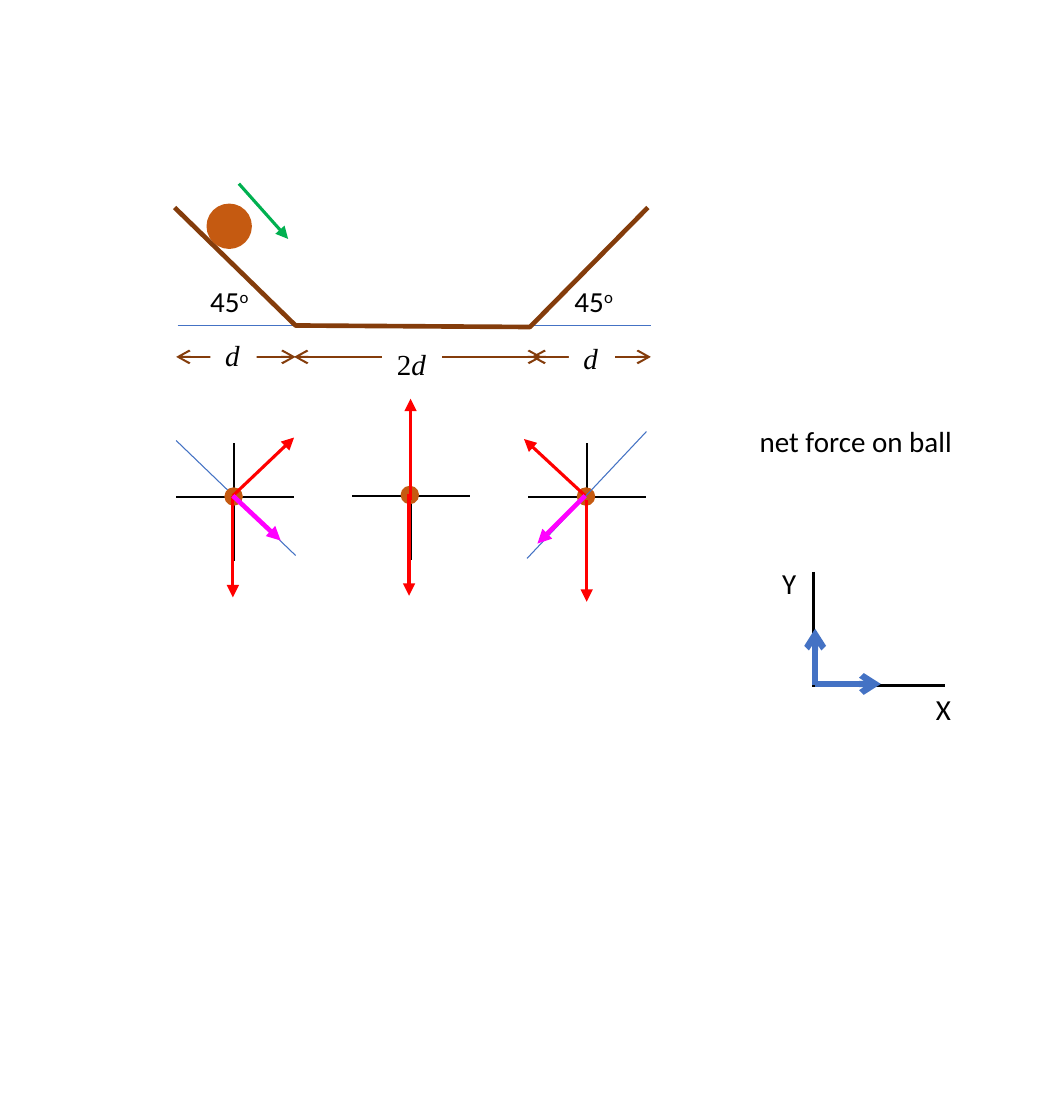
from lxml.etree import SubElement
from pptx import Presentation
from pptx.dml.color import RGBColor
from pptx.enum.shapes import MSO_CONNECTOR as Connector, MSO_SHAPE as Shape
from pptx.enum.text import MSO_AUTO_SIZE as AutoSize
from pptx.oxml.ns import qn
from pptx.util import Emu, Inches, Pt

PX = 9144
SLIDE_WIDTH, SLIDE_HEIGHT = Emu(6480175), Inches(7.5)
BLACK, WHITE, BLUE, RED = "000000", "FFFFFF", "4472C4", "FF0000"
MAGENTA, GREEN, BROWN, ORANGE = "FF00FF", "00B050", "843C0B", "C55A11"
SANS, SERIF = "Calibri", "Times New Roman"

GUIDES = [((118, 295), (198, 372)), ((119, 218), (436, 218))]
RIGHT_GUIDE = (433, 289), (353, 374)
TRACK = [(117, 139), (198, 218), (355, 219), (434, 139)]
BALL = 139, 137, 29
MOTION = (160, 123), (193, 160)
DIMENSION_Y = 239
DIMENSIONS = [(118, 198), (356, 436), (197, 363)]
BALL_CENTERS = [(393, 333), (157, 333), (275, 332)]
FORCES = [
    ((156, 332), (197, 293)), ((392, 332), (351, 294)),
    ((274, 331), (274, 399)), ((156, 332), (156, 400)),
    ((393, 335), (393, 403)), ((275, 335), (275, 267)),
]
NET_FORCES = [((156, 332), (188, 362)), ((392, 332), (360, 364))]
AXES = [((545, 383), (545, 460)), ((545, 459), (633, 459))]
UNIT_VECTORS = [((546, 458), (590, 458)), ((546, 459), (546, 421))]

TEXT_HEIGHT = 34
ANGLE = [("45", None), ("o", "superscript")]
DISTANCE = [("d", "italic")]
ANGLE_LABELS = [(131, 185, 47, ANGLE), (375, 185, 47, ANGLE)]
DISTANCE_LABELS = [
    (256, 227, 40, [("2", None), ("d", "italic")]),
    (381, 223, 31, DISTANCE),
    (141, 221, 31, DISTANCE),
]
CAPTIONS = [
    (499, 279, 150, [("net force on ball", None)]),
    (514, 374, 30, [("Y", None)]),
    (617, 458, 30, [("X", None)]),
]


def color(value):
    return RGBColor.from_string(value)


def add_line(shapes, ends, line_color, width, tail=None, head=None):
    start, end = ends
    connector = shapes.add_connector(
        Connector.STRAIGHT, *(value * PX for value in start + end))
    connector.line.color.rgb = color(line_color)
    connector.line.width = Pt(width)
    properties = connector._element.spPr
    outline = properties.find(qn("a:ln"))
    for tag, kind in (("a:headEnd", head), ("a:tailEnd", tail)):
        if kind:
            SubElement(outline, qn(tag), type=kind)
    SubElement(properties, qn("a:effectLst"))


def add_ball(shapes, left, top, size):
    ball = shapes.add_shape(Shape.OVAL, left * PX, top * PX, size * PX, size * PX)
    ball.shadow.inherit = False
    ball.fill.solid()
    ball.fill.fore_color.rgb = color(ORANGE)
    ball.line.color.rgb = color(ORANGE)
    ball.line.width = Pt(1)


def add_track(shapes):
    builder = shapes.build_freeform(*TRACK[0], scale=PX)
    builder.add_line_segments(TRACK[1:], close=False)
    track = builder.convert_to_shape()
    track.shadow.inherit = False
    track.fill.background()
    track.line.color.rgb = color(BROWN)
    track.line.width = Pt(2.25)


def add_label(shapes, left, top, width, runs, font_name=SANS, fill=None):
    box = shapes.add_textbox(left * PX, top * PX, width * PX, TEXT_HEIGHT * PX)
    if fill:
        box.fill.solid()
        box.fill.fore_color.rgb = color(fill)
    box.text_frame.word_wrap = False
    box.text_frame.auto_size = AutoSize.SHAPE_TO_FIT_TEXT
    paragraph = box.text_frame.paragraphs[0]
    paragraph.font.name = font_name
    paragraph.font.size = Pt(14)
    paragraph.font.color.rgb = color(BLACK)
    for text, style in runs:
        run = paragraph.add_run()
        run.text = text
        if style == "italic":
            run.font.italic = True
        elif style == "superscript":
            run._r.get_or_add_rPr().set("baseline", "30000")


def add_force_center(slide, x, y):
    shapes = slide.shapes.add_group_shape().shapes
    add_line(shapes, ((x - 39, y), (x + 40, y)), BLACK, 1)
    add_line(shapes, ((x, y - 36), (x, y + 43)), BLACK, 1)
    add_ball(shapes, x - 6, y - 6, 11)


def main():
    """Draw a ball on a ramp track with its force diagrams and axes."""
    presentation = Presentation()
    presentation.slide_width = SLIDE_WIDTH
    presentation.slide_height = SLIDE_HEIGHT
    slide = presentation.slides.add_slide(presentation.slide_layouts[6])
    shapes = slide.shapes

    for ends in GUIDES:
        add_line(shapes, ends, BLUE, 0.5)
    add_track(shapes)
    add_ball(shapes, *BALL)
    for label in ANGLE_LABELS:
        add_label(shapes, *label)
    add_line(shapes, MOTION, GREEN, 1.5, "triangle")
    for left, right in DIMENSIONS:
        ends = (left, DIMENSION_Y), (right, DIMENSION_Y)
        add_line(shapes, ends, BROWN, 1, "arrow", "arrow")
    for label in DISTANCE_LABELS:
        add_label(shapes, *label, SERIF, WHITE)

    for x, y in BALL_CENTERS:
        add_force_center(slide, x, y)
    for ends in FORCES:
        add_line(shapes, ends, RED, 1.5, "triangle")
    add_line(shapes, RIGHT_GUIDE, BLUE, 0.5)
    for ends in NET_FORCES:
        add_line(shapes, ends, MAGENTA, 2.25, "triangle")

    add_label(shapes, *CAPTIONS[0])
    axis_shapes = shapes.add_group_shape().shapes
    for ends in AXES:
        add_line(axis_shapes, ends, BLACK, 1.5)
    for ends in UNIT_VECTORS:
        add_line(axis_shapes, ends, BLUE, 3, "arrow")
    for label in CAPTIONS[1:]:
        add_label(shapes, *label)
    presentation.save("out.pptx")


if __name__ == "__main__":
    main()
